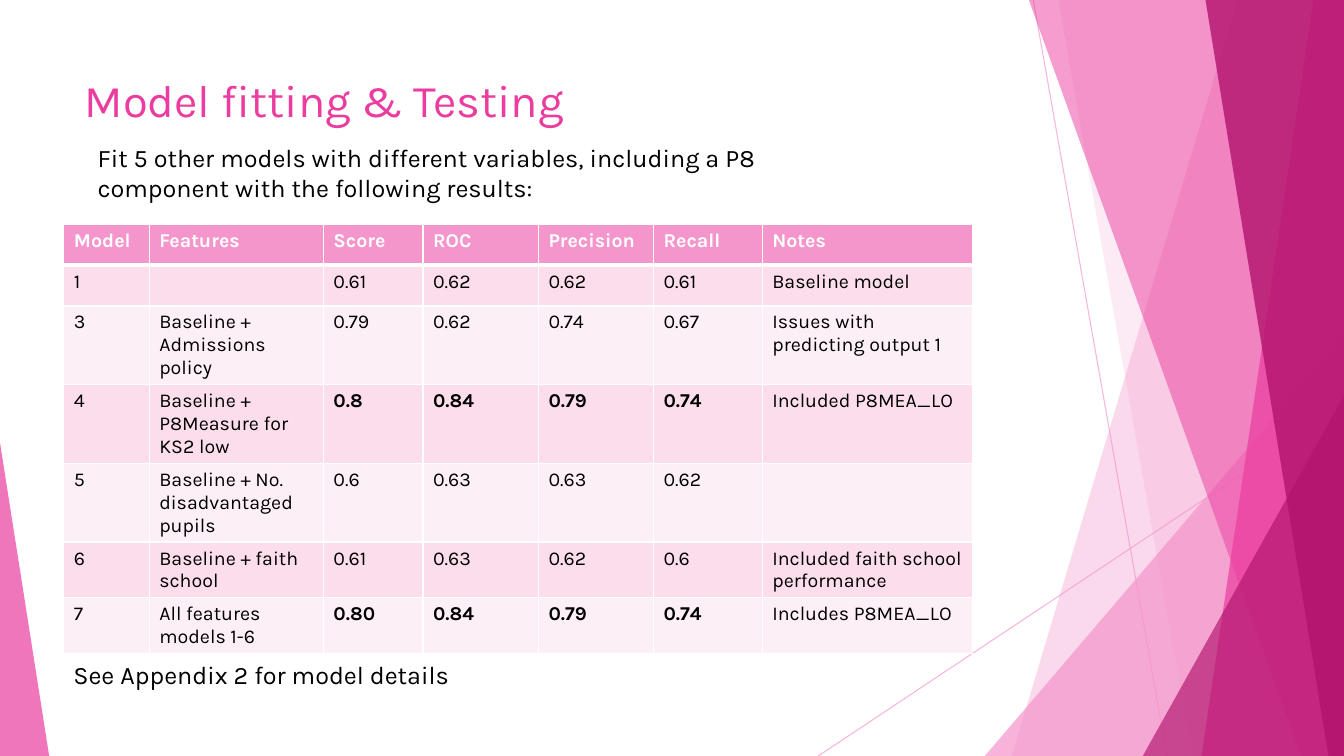
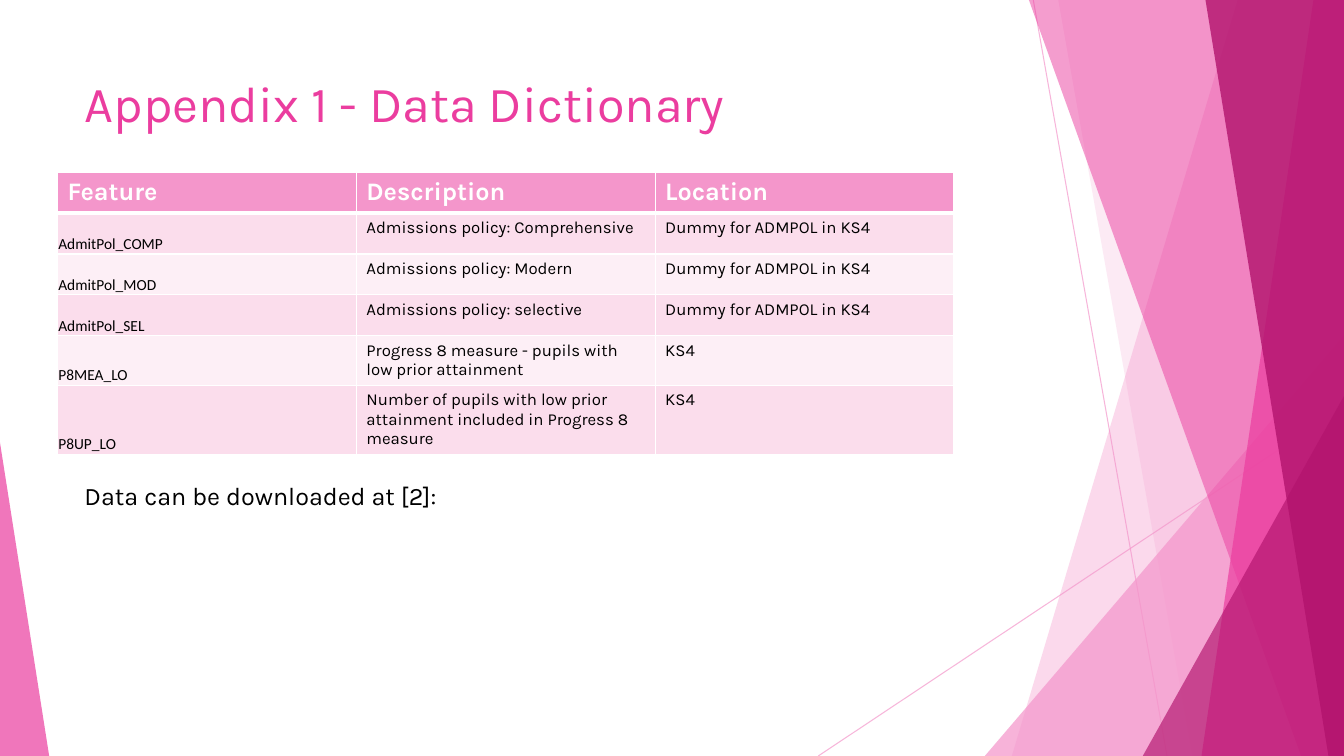
from dataclasses import dataclass

from lxml.etree import SubElement
from pptx import Presentation
from pptx.dml.color import RGBColor
from pptx.dml.fill import FillFormat
from pptx.enum.shapes import MSO_CONNECTOR, MSO_SHAPE
from pptx.enum.text import MSO_ANCHOR, MSO_AUTO_SIZE, PP_ALIGN
from pptx.oxml import parse_xml
from pptx.oxml.ns import nsdecls, qn
from pptx.slide import Slide, SlideLayout
from pptx.table import _Cell as Cell
from pptx.text.text import TextFrame
from pptx.util import Cm, Pt

COLORS = {
    "blush": "F496CB",
    "pink": "EB3D9F",
    "magenta": "B2136D",
    "band_dark": "FBDDEC",
    "band_light": "FDEFF6",
    "white": "FFFFFF",
    "black": "000000",
}
FONT = "Karla"
CODE_FONT = "Calibri"
WIDTH, HEIGHT = 33.87, 19.05
ROW_HEIGHT = 1.03


@dataclass(frozen=True)
class Ray:
    start: tuple[float, float]
    end: tuple[float, float]
    color: str = "blush"
    opacity: int = 70


@dataclass(frozen=True)
class Band:
    top_x: float
    bottom_x: float
    color: str
    opacity: int


@dataclass(frozen=True)
class Corner:
    left: float
    top: float
    width: float
    apex: float
    color: str
    opacity: int


@dataclass(frozen=True)
class Note:
    text: str
    left: float
    top: float
    width: float
    height: float


@dataclass(frozen=True)
class Grid:
    left: float
    top: float
    widths: tuple[float, ...]
    head_size: int
    body_size: int
    rows: tuple[tuple[str, ...], ...]
    strong_rows: tuple[int, ...] = ()
    strong_columns: tuple[int, ...] = ()
    code_column: int | None = None


@dataclass(frozen=True)
class Page:
    title: str
    title_size: float
    title_height: float
    grid: Grid
    notes: tuple[Note, ...]


FACETS = (
    Ray((26.04, 0), (29.41, HEIGHT)),
    Ray((WIDTH, 10.24), (20.62, HEIGHT)),
    Band(31.19, 25.5, "blush", 36),
    Band(26.67, 30.05, "blush", 20),
    Corner(24.82, 8.46, 9.05, 1, "blush", 72),
    Band(25.93, 32.79, "pink", 50),
    Band(33.1, 30.28, "pink", 70),
    Band(30.38, 33.48, "magenta", 80),
    Corner(28.8, 9.98, 5.07, 1, "magenta", 66),
    Corner(0, 11.15, 1.24, 0, "pink", 70),
)

PAGES = (
    Page(
        "Model fitting & Testing", 32.4, 1.78,
        Grid(
            1.61, 5.65, (2.15, 4.39, 2.51, 2.91, 2.9, 2.74, 5.3), 14, 14,
            (
                ("Model", "Features", "Score", "ROC", "Precision", "Recall", "Notes"),
                ("1", "", "0.61", "0.62", "0.62", "0.61", "Baseline model"),
                ("3", "Baseline + Admissions policy", "0.79", "0.62", "0.74", "0.67",
                 "Issues with predicting output 1"),
                ("4", "Baseline + P8Measure for KS2 low", "0.8", "0.84", "0.79", "0.74",
                 "Included P8MEA_LO"),
                ("5", "Baseline + No. disadvantaged pupils", "0.6", "0.63", "0.63", "0.62", ""),
                ("6", "Baseline + faith school", "0.61", "0.63", "0.62", "0.6",
                 "Included faith school performance"),
                ("7", "All features models 1-6", "0.80", "0.84", "0.79", "0.74",
                 "Includes P8MEA_LO"),
            ),
            strong_rows=(3, 6),
            strong_columns=(2, 3, 4, 5),
        ),
        (
            Note("Fit 5 other models with different variables, including a P8 component "
                 "with the following results:", 2.21, 3.45, 19.89, 1.8),
            Note("See Appendix 2 for model details", 1.6, 16.48, 10.08, 1.02),
        ),
    ),
    Page(
        "Appendix 1 - Data Dictionary", 36, 3.66,
        Grid(
            1.45, 4.34, (7.53,) * 3, 18, 12,
            (
                ("Feature", "Description", "Location"),
                ("AdmitPol_COMP", "Admissions policy: Comprehensive", "Dummy for ADMPOL in KS4"),
                ("AdmitPol_MOD", "Admissions policy: Modern", "Dummy for ADMPOL in KS4"),
                ("AdmitPol_SEL", "Admissions policy: selective", "Dummy for ADMPOL in KS4"),
                ("P8MEA_LO", "Progress 8 measure - pupils with low prior attainment", "KS4"),
                ("P8UP_LO", "Number of pupils with low prior attainment included in "
                 "Progress 8 measure", "KS4"),
            ),
            code_column=0,
        ),
        (Note("Data can be downloaded at [2]:", 1.88, 11.99, 19.84, 1.03),),
    ),
)


def rgb(color: str) -> RGBColor:
    return RGBColor.from_string(COLORS[color])


def paint(fill: FillFormat, color: str) -> None:
    fill.solid()
    fill.fore_color.rgb = rgb(color)


def write(frame: TextFrame, text: str, size: float, color: str,
          bold: bool = False, font: str = FONT) -> None:
    frame.text = text
    paragraph = frame.paragraphs[0]
    paragraph.alignment = PP_ALIGN.LEFT
    paragraph.font.name = font
    paragraph.font.size = Pt(size)
    paragraph.font.bold = bold
    paragraph.font.color.rgb = rgb(color)


def draw_facet(slide: Slide, facet: Ray | Band | Corner):
    shapes = slide.shapes
    if isinstance(facet, Ray):
        ends = [Cm(value) for value in facet.start + facet.end]
        shape = shapes.add_connector(MSO_CONNECTOR.STRAIGHT, *ends)
        shape.line.width = Pt(0.75)
        paint(shape.line.fill, facet.color)
        SubElement(shape.element.spPr, qn("a:effectLst"))
    else:
        if isinstance(facet, Band):
            outline = shapes.build_freeform(Cm(facet.top_x), 0)
            outline.add_line_segments(
                [(Cm(WIDTH), 0), (Cm(WIDTH), Cm(HEIGHT)), (Cm(facet.bottom_x), Cm(HEIGHT))])
            shape = outline.convert_to_shape()
        else:
            shape = shapes.add_shape(
                MSO_SHAPE.ISOSCELES_TRIANGLE, Cm(facet.left), Cm(facet.top),
                Cm(facet.width), Cm(HEIGHT - facet.top))
            shape.adjustments[0] = facet.apex
        paint(shape.fill, facet.color)
        shape.line.fill.background()
        shape.shadow.inherit = False
    tint = next(shape.element.spPr.iter(qn("a:srgbClr")))
    SubElement(tint, qn("a:alpha"), val=str(facet.opacity * 1000))
    return shape


def decorate_layout(layout: SlideLayout, slide: Slide) -> None:
    for number, facet in enumerate(FACETS, start=100):
        element = draw_facet(slide, facet).element
        next(element.iter(qn("p:cNvPr"))).set("id", str(number))
        layout.shapes.element.append(element)


def add_borders(cell: Cell, row: int) -> None:
    top, bottom = (3 if row == 1 else 1), (3 if row == 0 else 1)
    borders = (("lnL", 1), ("lnR", 1), ("lnT", top), ("lnB", bottom))
    properties = cell._tc.get_or_add_tcPr()
    for position, (side, points) in enumerate(borders):
        properties.insert(position, parse_xml(
            f'<a:{side} {nsdecls("a")} w="{Pt(points)}"><a:solidFill>'
            f'<a:srgbClr val="{COLORS["white"]}"/></a:solidFill></a:{side}>'))


def draw_grid(slide: Slide, grid: Grid) -> None:
    table = slide.shapes.add_table(
        len(grid.rows), len(grid.widths), Cm(grid.left), Cm(grid.top),
        Cm(sum(grid.widths)), Cm(ROW_HEIGHT * len(grid.rows))).table
    table.horz_banding = False
    for column, width in zip(table.columns, grid.widths):
        column.width = Cm(width)
    for row, texts in enumerate(grid.rows):
        table.rows[row].height = Cm(ROW_HEIGHT)
        for column, text in enumerate(texts):
            cell = table.cell(row, column)
            if row == 0:
                paint(cell.fill, "blush")
                write(cell.text_frame, text, grid.head_size, "white", bold=True)
            else:
                paint(cell.fill, "band_dark" if row % 2 else "band_light")
                strong = row in grid.strong_rows and column in grid.strong_columns
                if column == grid.code_column:
                    write(cell.text_frame, text, 11, "black", font=CODE_FONT)
                    cell.vertical_anchor = MSO_ANCHOR.BOTTOM
                    cell.margin_left = cell.margin_right = cell.margin_top = Cm(0.02)
                    cell.margin_bottom = 0
                else:
                    write(cell.text_frame, text, grid.body_size, "black", bold=strong)
            add_borders(cell, row)


def draw_note(slide: Slide, note: Note) -> None:
    box = slide.shapes.add_textbox(
        Cm(note.left), Cm(note.top), Cm(note.width), Cm(note.height))
    box.text_frame.word_wrap = True
    write(box.text_frame, note.text, 18, "black")


def draw_page(slide: Slide, page: Page) -> None:
    title = slide.shapes.title
    title.left, title.top = Cm(1.88), Cm(1.7)
    title.width, title.height = Cm(23.88), Cm(page.title_height)
    title.text_frame.auto_size = MSO_AUTO_SIZE.NONE
    title.text_frame.vertical_anchor = MSO_ANCHOR.TOP
    write(title.text_frame, page.title, page.title_size, "pink")
    draw_grid(slide, page.grid)
    for note in page.notes:
        draw_note(slide, note)


def main() -> None:
    deck = Presentation()
    deck.slide_width, deck.slide_height = Cm(WIDTH), Cm(HEIGHT)
    layout = deck.slide_layouts.get_by_name("Title Only")
    slides = [deck.slides.add_slide(layout) for _ in PAGES]
    decorate_layout(layout, slides[0])
    for slide, page in zip(slides, PAGES):
        draw_page(slide, page)
    deck.save("out.pptx")


if __name__ == "__main__":
    main()
